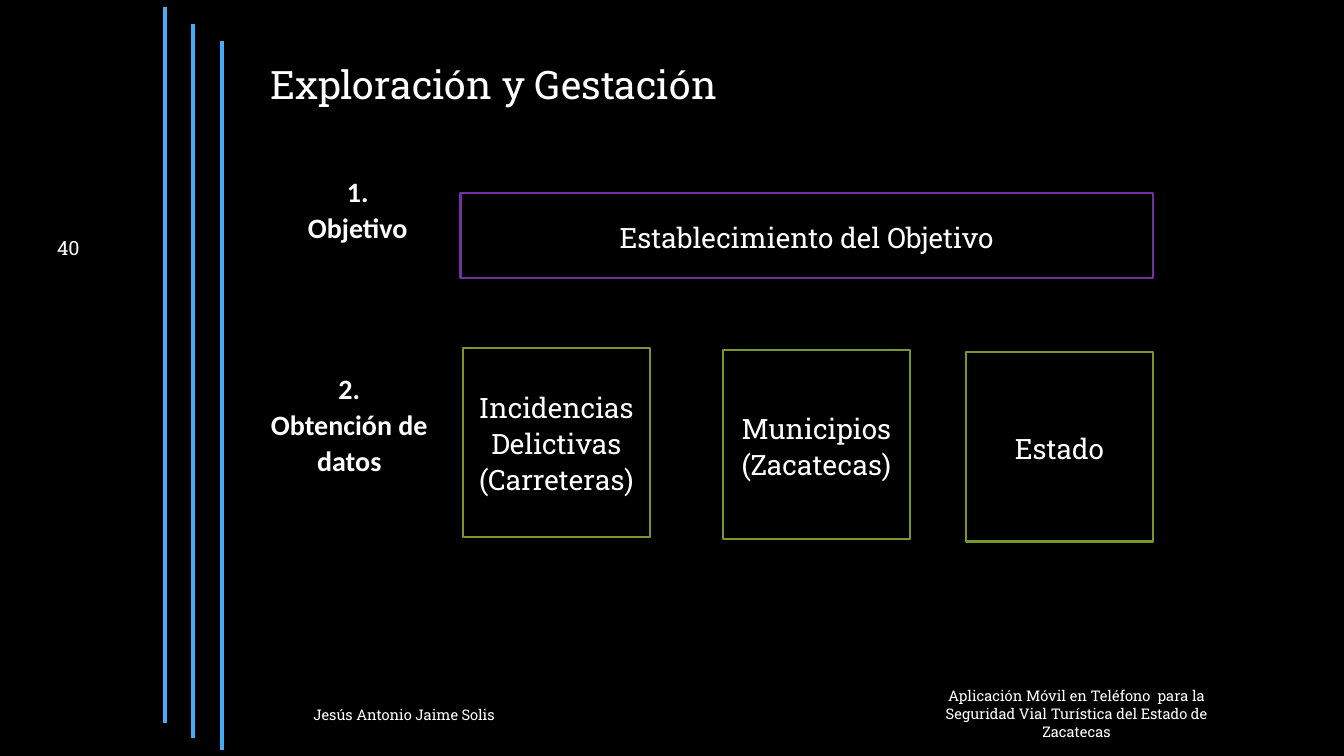
from lxml import etree
from pptx import Presentation
from pptx.dml.color import RGBColor
from pptx.enum.shapes import MSO_CONNECTOR, MSO_SHAPE
from pptx.enum.text import MSO_ANCHOR, MSO_AUTO_SIZE, PP_ALIGN
from pptx.oxml.ns import qn
from pptx.util import Pt

LEFT, CENTER, RIGHT = PP_ALIGN.LEFT, PP_ALIGN.CENTER, PP_ALIGN.RIGHT
TOP, MIDDLE = MSO_ANCHOR.TOP, MSO_ANCHOR.MIDDLE
NO_AUTOFIT = MSO_AUTO_SIZE.NONE
RECTANGLE = MSO_SHAPE.RECTANGLE
STRAIGHT = MSO_CONNECTOR.STRAIGHT

SLAB, SANS = "Roboto Slab", "Calibri"
BLACK, WHITE, BLUE = "000000", "FFFFFF", "45ADF8"
PURPLE, GREEN = "7030A0", "78982F"
BODY_SPACING = 1.07


def color(hex_value):
    return RGBColor.from_string(hex_value)


def write(frame, lines, size, font=SLAB, align=LEFT, anchor=TOP, bold=False, spacing=1.0):
    """Fill a text frame with one white paragraph per line."""
    frame.word_wrap = True
    frame.auto_size = NO_AUTOFIT
    frame.vertical_anchor = anchor
    for index, line in enumerate(lines):
        paragraph = frame.paragraphs[0] if index == 0 else frame.add_paragraph()
        paragraph.alignment = align
        paragraph.line_spacing = spacing
        paragraph.space_before = Pt(0)
        run = paragraph.add_run()
        run.text = line
        run.font.name = font
        run.font.size = Pt(size)
        run.font.bold = bold
        run.font.color.rgb = color(WHITE)


def add_text(slide, box, lines, size, **style):
    textbox = slide.shapes.add_textbox(*map(Pt, box))
    write(textbox.text_frame, lines, size, **style)


def add_title(slide, box, text):
    title = slide.shapes.title
    title.left, title.top, title.width, title.height = map(Pt, box)
    write(title.text_frame, [text], 28, anchor=MIDDLE)


def add_rails(slide, left, gap, spans):
    """Draw vertical rails at equal gaps, each with its own top and bottom."""
    for index, (top, bottom) in enumerate(spans):
        x = Pt(left + index * gap)
        rail = slide.shapes.add_connector(STRAIGHT, x, Pt(top), x, Pt(bottom))
        rail.line.color.rgb = color(BLUE)
        rail.line.width = Pt(3)
        etree.SubElement(rail.element.spPr, qn("a:effectLst"))


def add_card(slide, box, text, outline):
    card = slide.shapes.add_shape(RECTANGLE, *map(Pt, box))
    card.shadow.inherit = False
    card.fill.background()
    card.line.color.rgb = color(outline)
    card.line.width = Pt(1.5)
    write(card.text_frame, [text], 20, align=CENTER, anchor=MIDDLE, spacing=BODY_SPACING)


def add_stage_label(slide, box, number, name):
    add_text(slide, box, [number, name], 20, font=SANS, align=CENTER,
             bold=True, spacing=BODY_SPACING)


def add_objective_stage(slide, left, top):
    add_stage_label(slide, (left + 16, top, 109, 75), "1.", "Objetivo")
    add_card(slide, (left + 144, top + 18.7, 494.6, 60.5), "Establecimiento del Objetivo", PURPLE)


def add_data_stage(slide, left, top):
    add_stage_label(slide, (left, top, 129, 90), "2.", "Obtención de datos")
    sources = [(145.5, "Incidencias Delictivas (Carreteras)"),
               (331.2, "Municipios (Zacatecas)"),
               (504.8, "Estado")]
    for index, (offset, source) in enumerate(sources):
        box = (left + offset, top - 11.6 + index * 1.5, 133.9, 135.4)
        add_card(slide, box, source, GREEN)


def add_footer(slide, top):
    add_text(slide, (216.7, top + 8.6, 400, 28.8), ["Jesús Antonio Jaime Solis"], 10.5,
             anchor=MIDDLE)
    thesis = "Aplicación Móvil en Teléfono  para la Seguridad Vial Turística del Estado de Zacatecas"
    add_text(slide, (650.9, top, 236.2, 45.4), [thesis], 10.5, align=CENTER)


def main():
    deck = Presentation()
    deck.slide_width, deck.slide_height = Pt(960), Pt(540)
    slide = deck.slides.add_slide(deck.slide_layouts[5])
    slide.background.fill.solid()
    slide.background.fill.fore_color.rgb = color(BLACK)

    add_title(slide, (185.8, 33.5, 614, 53), "Exploración y Gestación")
    add_rails(slide, 117.7, 20.4, [(5, 516.7), (17.3, 527), (29.5, 535.7)])
    add_text(slide, (5, 162.7, 59, 28.8), ["40"], 14, align=RIGHT, anchor=MIDDLE)
    add_objective_stage(slide, 185, 119.5)
    add_data_stage(slide, 185, 260)
    add_footer(slide, 487.4)
    deck.save("out.pptx")


if __name__ == "__main__":
    main()
